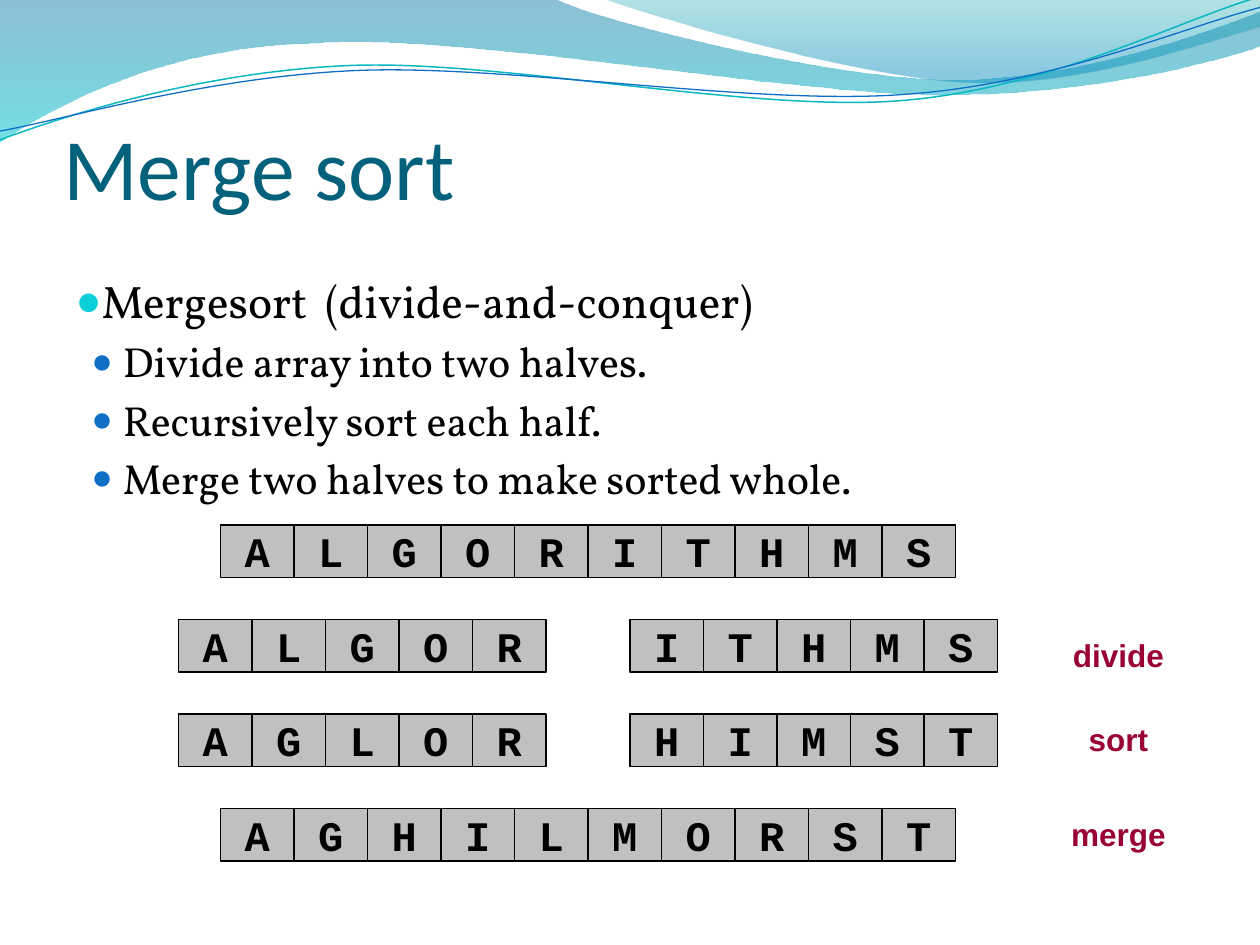
from math import cos, radians, sin

from lxml import etree
from pptx import Presentation
from pptx.dml.color import RGBColor
from pptx.enum.shapes import MSO_SHAPE
from pptx.enum.text import MSO_ANCHOR, MSO_AUTO_SIZE, PP_ALIGN
from pptx.oxml.ns import qn
from pptx.util import Inches, Pt

COLORS = {
    "title": "04617B", "text": "000000", "bullet": "0BD0D9", "sub_bullet": "0F6FC6",
    "cell": "C0C0C0", "label": "990033", "teal_line": "0AB8BF", "blue_line": "0F6FC6",
    "deep_blue": "0074A1", "aqua": "00C6CF", "teal": "00A1A9", "blue": "008BBF",
}
FORMATS = {
    "title": {"name": "Calibri", "size": Pt(50), "bold": False},
    "bullet": {"name": "Vollkorn", "size": Pt(26)},
    "sub_bullet": {"name": "Vollkorn", "size": Pt(24)},
    "cell": {"name": "Courier New", "size": Pt(24), "bold": True},
    "label": {"name": "Arial", "size": Pt(18), "bold": True},
}
BULLETS = [
    ("bullet", "Mergesort  (divide-and-conquer)"),
    ("sub_bullet", "Divide array into two halves."),
    ("sub_bullet", "Recursively sort each half."),
    ("sub_bullet", "Merge two halves to make sorted whole."),
]
BULLET_LAYOUT = {"bullet": (0, 0, 0, 95), "sub_bullet": (1, 3 / 8, -0.25, 85)}
CELL_WIDTH = 7 / 12
CELL_HEIGHT = 5 / 12
ROW_PITCH = 0.75
FULL_LEFT = 4 / 12
RIGHT_HALF_LEFT = 43 / 12
ROWS = [
    [(FULL_LEFT, "ALGORITHMS")],
    [(0, "ALGOR"), (RIGHT_HALF_LEFT, "ITHMS")],
    [(0, "AGLOR"), (RIGHT_HALF_LEFT, "HIMST")],
    [(FULL_LEFT, "AGHILMORST")],
]
LABELS = [("divide", 0.83, 1.58), ("sort", 1.5, 1.08), ("merge", 2.25, 1.08)]
LABEL_CENTER = 7.46

BANDS = [
    ((0, 0),
     [((4.4, -0.01),),
      ((4.76, 0.17), (6.64, 0.63), (7.58, 0.63)), ((8.53, 0.63), (9.58, 0.26), (10, 0.09)),
      ((10.01, 0.36),),
      ((9.83, 0.44), (8.7, 0.76), (7.46, 0.75)), ((6.22, 0.75), (3.82, 0.28), (2.57, 0.34)),
      ((1.29, 0.36), (0.46, 0.83), (-0.01, 1.13))],
     [(0, "deep_blue", 45), (1, "aqua", 55)]),
    ((4.79, -0.01),
     [((5.09, 0.11), (6.82, 0.62), (7.69, 0.65)), ((8.56, 0.69), (9.61, 0.32), (10, 0.21)),
      ((10, 0),)],
     [(0, "teal", 30), (0.8, "blue", 45)]),
]
STROKE_TILT = -2.7
STROKES = [
    ((0, 1.11),
     [((0.48, 0.93), (1.58, 0.57), (2.77, 0.52)), ((3.95, 0.47), (5.93, 0.89), (7.13, 0.8)),
      ((8.33, 0.71), (9.38, 0.15), (9.98, -0.02))],
     (4.99, 0.57), "teal_line", 0.85),
    ((0, 1.04),
     [((0.47, 0.96), (1.64, 0.61), (2.83, 0.56)), ((4.03, 0.51), (5.97, 0.84), (7.17, 0.75)),
      ((8.36, 0.67), (9.41, 0.21), (10, 0.06))],
     (5, 0.59), "blue_line", 0.75),
]


def color(name):
    return RGBColor.from_string(COLORS[name])


def style_font(font, style, color_name):
    for attribute, value in FORMATS[style].items():
        setattr(font, attribute, value)
    font.color.rgb = color(color_name)


def place(shape, left, top, width, height):
    shape.left, shape.top = Inches(left), Inches(top)
    shape.width, shape.height = Inches(width), Inches(height)


def turn(point, center, degrees):
    x, y = point[0] - center[0], point[1] - center[1]
    c, s = cos(radians(degrees)), sin(radians(degrees))
    return center[0] + x * c - y * s, center[1] + x * s + y * c


def add_curve(slide, start, segments, close, center=(0, 0), tilt=0):
    points = [start] + [point for segment in segments for point in segment]
    vertices = [tuple(map(Inches, turn(point, center, -tilt))) for point in points]
    builder = slide.shapes.build_freeform(*vertices[0])
    builder.add_line_segments(vertices[1:], close=close)
    shape = builder.convert_to_shape()
    shape.shadow.inherit = False
    shape.rotation = tilt
    lines = iter(list(shape.element.iter(qn("a:lnTo"))))
    for segment in segments:
        group = [next(lines) for _ in segment]
        if len(group) == 3:
            group[0].tag
            curve = etree.Element(qn("a:cubicBezTo"))
            group[0].addprevious(curve)
            for line in group:
                curve.append(line[0])
                line.getparent().remove(line)
    return shape


def send_to_master(slide, shape):
    master = slide.slide_layout.slide_master
    master.placeholders[0].element.addprevious(shape.element)


def add_waves(slide):
    for start, segments, stops in BANDS:
        band = add_curve(slide, start, segments, True)
        band.line.fill.background()
        band.fill.gradient()
        band.fill.gradient_angle = 270
        for stop, (position, name, _) in zip(band.fill.gradient_stops, stops):
            stop.position = position
            stop.color.rgb = color(name)
        for element, (_, _, opacity) in zip(band.element.iter(qn("a:gs")), stops):
            etree.SubElement(element[0], qn("a:alpha"), val=str(opacity * 1000))
        send_to_master(slide, band)
    for start, segments, center, name, width in STROKES:
        stroke = add_curve(slide, start, segments, False, center, STROKE_TILT)
        stroke.fill.background()
        stroke.line.color.rgb = color(name)
        stroke.line.width = Pt(width)
        send_to_master(slide, stroke)


def add_title(slide, left, top, width, height):
    title = slide.shapes.title
    place(title, left, top, width, height)
    frame = title.text_frame
    frame.text = "Merge sort"
    frame.auto_size = MSO_AUTO_SIZE.NONE
    frame.vertical_anchor = MSO_ANCHOR.BOTTOM
    frame.margin_left = frame.margin_right = frame.margin_bottom = 0
    paragraph = frame.paragraphs[0]
    paragraph.alignment = PP_ALIGN.LEFT
    style_font(paragraph.font, "title", "title")


def add_bullets(slide, left, top, width, height):
    body = slide.placeholders[1]
    place(body, left, top, width, height)
    frame = body.text_frame
    frame.text = "\n".join(text for _, text in BULLETS)
    frame.auto_size = MSO_AUTO_SIZE.NONE
    for index, (paragraph, (style, _)) in enumerate(zip(frame.paragraphs, BULLETS)):
        level, margin, indent, size = BULLET_LAYOUT[style]
        paragraph.level = level
        paragraph.space_before = Pt(4.5 if index else 0)
        properties = paragraph._p.get_or_add_pPr()
        properties.set("marL", str(Inches(margin)))
        properties.set("indent", str(Inches(indent)))
        bullet_color = etree.SubElement(properties, qn("a:buClr"))
        etree.SubElement(bullet_color, qn("a:srgbClr"), val=COLORS[style])
        etree.SubElement(properties, qn("a:buSzPct"), val=str(size * 1000))
        etree.SubElement(properties, qn("a:buChar"), char="●")
        style_font(paragraph.font, style, "text")


def add_array(slide, left, top, letters):
    for index, letter in enumerate(letters):
        cell = slide.shapes.add_shape(
            MSO_SHAPE.RECTANGLE, Inches(left + index * CELL_WIDTH), Inches(top),
            Inches(CELL_WIDTH), Inches(CELL_HEIGHT))
        cell.shadow.inherit = False
        cell.fill.solid()
        cell.fill.fore_color.rgb = color("cell")
        cell.line.color.rgb = color("text")
        cell.line.width = Pt(0.75)
        frame = cell.text_frame
        frame.text = letter
        frame.word_wrap = False
        frame.vertical_anchor = MSO_ANCHOR.MIDDLE
        frame.paragraphs[0].alignment = PP_ALIGN.CENTER
        style_font(frame.paragraphs[0].font, "cell", "text")


def add_diagram(slide, left, top):
    for index, arrays in enumerate(ROWS):
        for offset, letters in arrays:
            add_array(slide, left + offset, top + index * ROW_PITCH, letters)
    for text, offset, width in LABELS:
        label = slide.shapes.add_textbox(
            Inches(left + LABEL_CENTER - width / 2), Inches(top + offset),
            Inches(width), Inches(0.4))
        frame = label.text_frame
        frame.text = text
        frame.word_wrap = True
        frame.auto_size = MSO_AUTO_SIZE.SHAPE_TO_FIT_TEXT
        frame.paragraphs[0].alignment = PP_ALIGN.CENTER
        style_font(frame.paragraphs[0].font, "label", "label")


presentation = Presentation()
presentation.slide_width, presentation.slide_height = Inches(10), Inches(7.5)
slide = presentation.slides.add_slide(presentation.slide_layouts[1])
add_waves(slide)
add_title(slide, 0.5, 0.48, 9, 1.25)
add_bullets(slide, 0.5, 2.12, 9, 4.8)
add_diagram(slide, 17 / 12, 50 / 12)
presentation.save("out.pptx")
